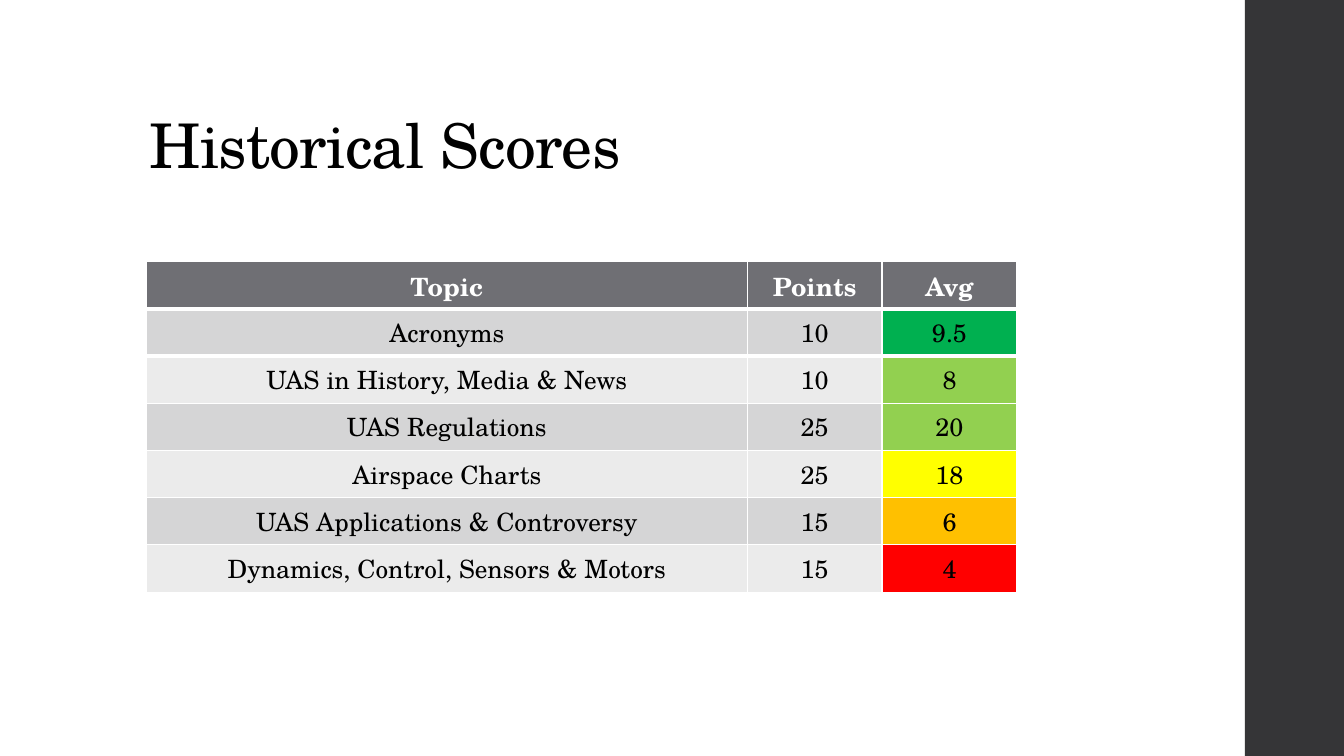
from lxml import etree
from pptx import Presentation
from pptx import util as u
from pptx.dml.color import RGBColor
from pptx.enum import shapes, text
from pptx.oxml import ns

FONT = "TeX Gyre Schola"
HEADINGS = ("Topic", "Points", "Avg")
# Topic, points, average, colour of the average
SCORES = [
    ("Acronyms", "10", "9.5", "00B050"),
    ("UAS in History, Media & News", "10", "8", "92D050"),
    ("UAS Regulations", "25", "20", "92D050"),
    ("Airspace Charts", "25", "18", "FFFF00"),
    ("UAS Applications & Controversy", "15", "6", "FFC000"),
    ("Dynamics, Control, Sensors & Motors", "15", "4", "FF0000"),
]
BANDS = ("D5D5D6", "EBEBEB")
COLUMN_SHARES = (0.69, 0.155, 0.155)


def color(hex_string):
    return RGBColor.from_string(hex_string)


def style_font(font, size, hex_string, bold=False):
    font.name = FONT
    font.size = u.Pt(size)
    font.bold = bold
    font.color.rgb = color(hex_string)


def add_side_bar(slide, left, top, width, height):
    bar = slide.shapes.add_shape(shapes.MSO_SHAPE.RECTANGLE, left, top, width, height)
    bar.shadow.inherit = False
    bar.fill.solid()
    bar.fill.fore_color.rgb = color("353537")
    bar.line.fill.background()


def add_title(slide, left, top, width, height, wording):
    frame = slide.shapes.add_textbox(left, top, width, height).text_frame
    frame.word_wrap = True
    frame.vertical_anchor = text.MSO_ANCHOR.BOTTOM
    paragraph = frame.paragraphs[0]
    paragraph.line_spacing = 0.9
    run = paragraph.add_run()
    run.text = wording
    style_font(paragraph.font, 44, "000000")
    # Slightly tightened letters, in hundredths of a point
    run.font._element.set("spc", "-50")


def set_border(cell, side, points, hex_string):
    line = etree.Element(ns.qn(f"a:{side}"), w=str(u.Pt(points)))
    fill = etree.SubElement(line, ns.qn("a:solidFill"))
    etree.SubElement(fill, ns.qn("a:srgbClr"), val=hex_string)
    # Borders stand before the fill in the cell properties
    cell._tc.get_or_add_tcPr().insert(0, line)


def fill_cell(cell, wording, fill, font_color, bold):
    cell.text = wording
    cell.vertical_anchor = text.MSO_ANCHOR.MIDDLE
    cell.fill.solid()
    cell.fill.fore_color.rgb = color(fill)
    paragraph = cell.text_frame.paragraphs[0]
    paragraph.alignment = text.PP_ALIGN.CENTER
    style_font(paragraph.font, 18, font_color, bold)


def add_score_table(slide, left, top, width, height):
    # The default table style supplies the thin white cell borders
    table = slide.shapes.add_table(
        len(SCORES) + 1, len(HEADINGS), left, top, width, height).table
    for column, share in zip(table.columns, COLUMN_SHARES):
        column.width = int(width * share)

    # Header row
    for cell, heading in zip(table.rows[0].cells, HEADINGS):
        fill_cell(cell, heading, "6F6F74", "FFFFFF", True)

    # Banded topics and points, rated averages
    for index, (topic, points, average, rating) in enumerate(SCORES):
        band = BANDS[index % 2]
        values = ((topic, band), (points, band), (average, rating))
        for cell, (value, fill) in zip(table.rows[index + 1].cells, values):
            fill_cell(cell, value, fill, "000000", False)

    # Thick rule under the header, shared with the row below
    for row, side in ((0, "lnB"), (1, "lnT")):
        for cell in table.rows[row].cells:
            set_border(cell, side, 3, "FFFFFF")


def main():
    presentation = Presentation()
    presentation.slide_width = u.Cm(33.87)
    presentation.slide_height = u.Cm(19.05)
    slide = presentation.slides.add_slide(presentation.slide_layouts[6])

    add_side_bar(slide, u.Cm(31.37), 0, u.Cm(2.5), presentation.slide_height)
    add_title(slide, u.Cm(3.52), u.Cm(1.02), u.Cm(26.92), u.Cm(3.68), "Historical Scores")
    add_score_table(slide, u.Cm(3.69), u.Cm(6.59), u.Cm(21.94), u.Cm(8.33))

    presentation.save("out.pptx")


if __name__ == "__main__":
    main()
